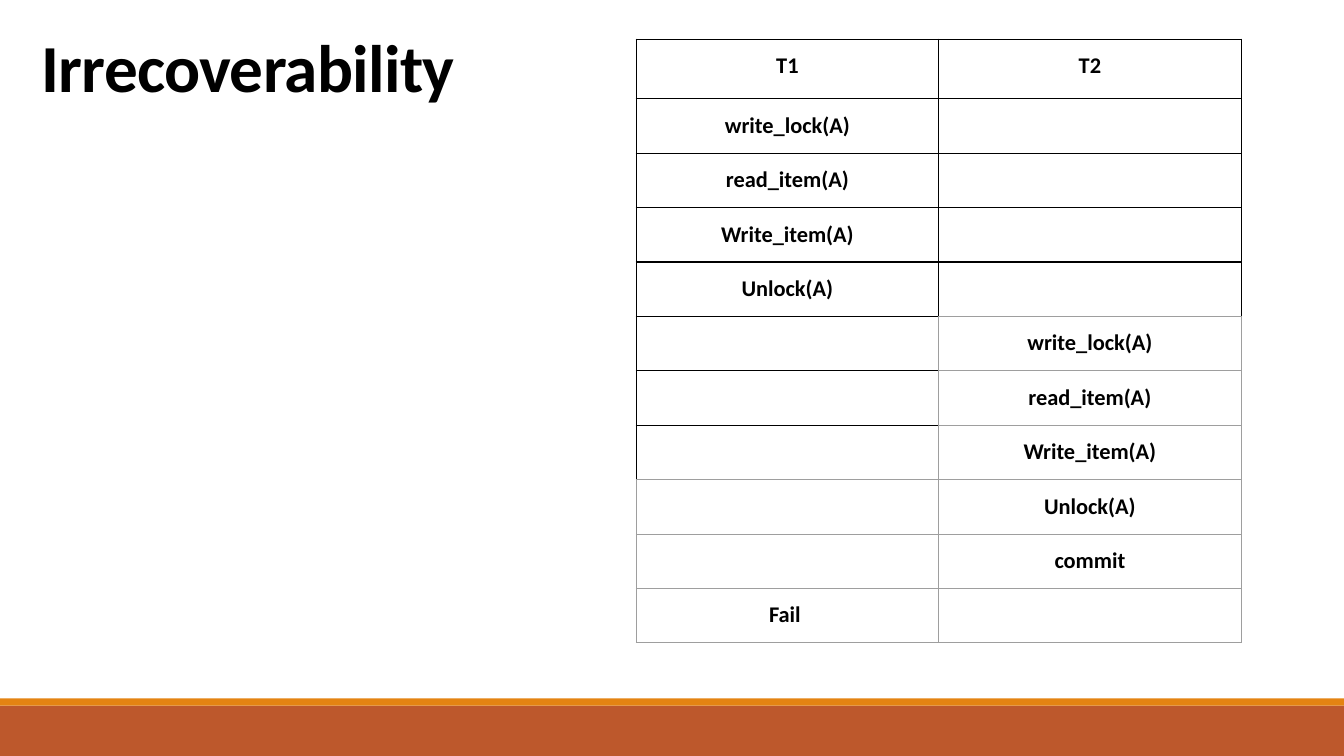
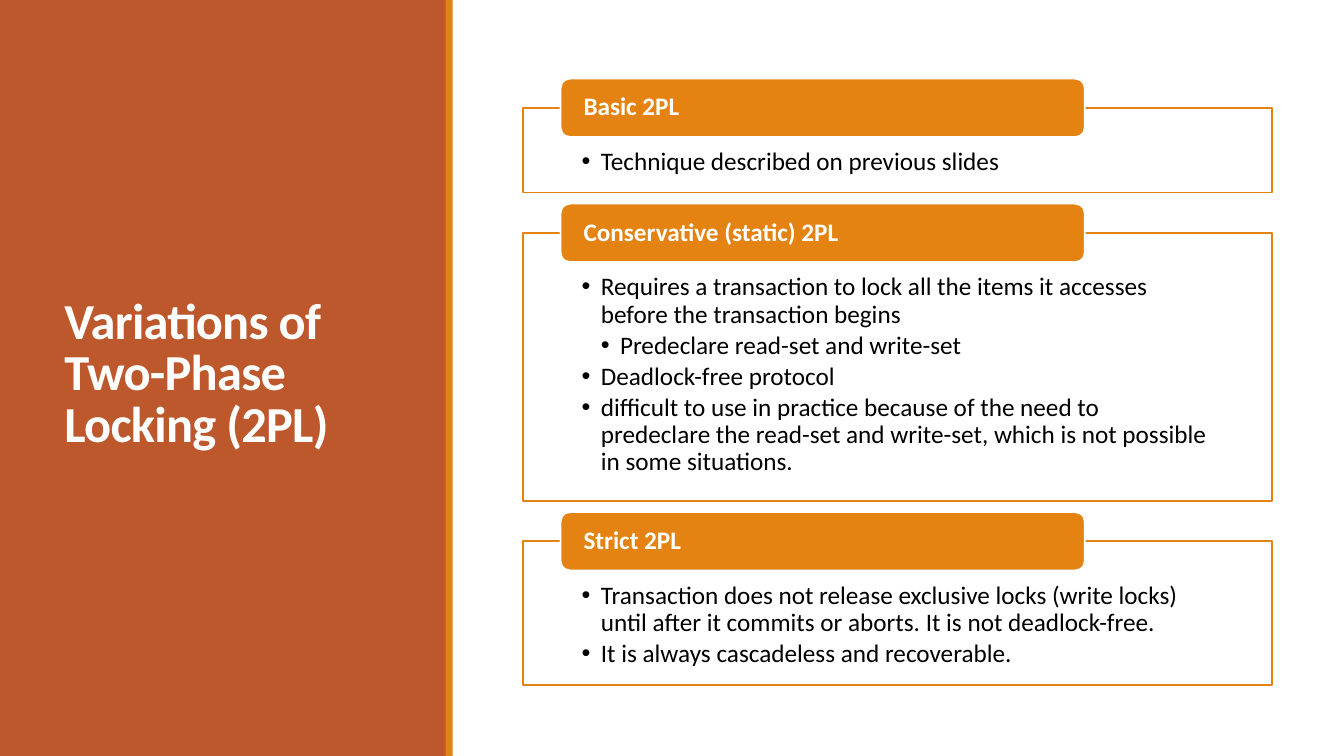
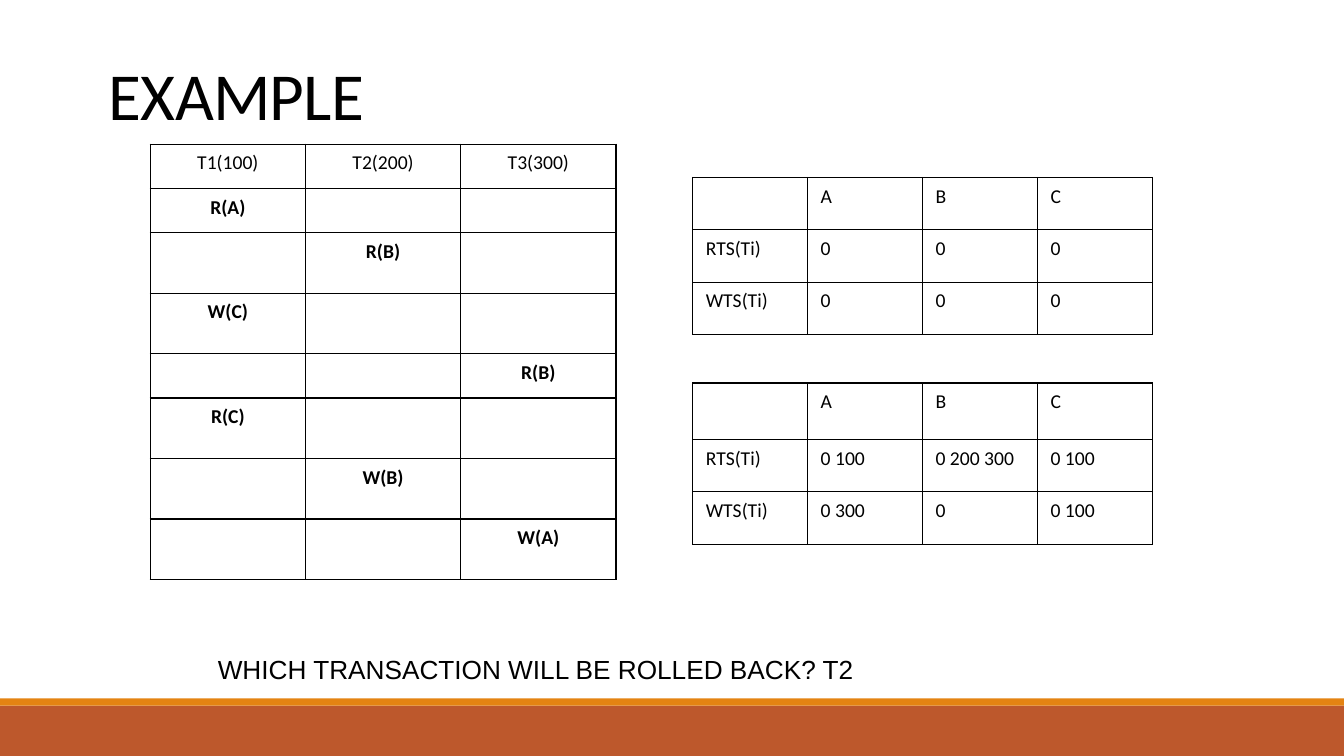
import pptx
import pptx.dml.color
import pptx.enum.shapes
import pptx.enum.text
import pptx.oxml.ns
import pptx.util
from lxml import etree

PX = 9144
RUST, ORANGE, GREY = "BD582C", "E48312", "9E9E9E"
BLACK, WHITE = "000000", "FFFFFF"
MIDDLE = pptx.enum.text.MSO_ANCHOR.MIDDLE
TOP = pptx.enum.text.MSO_ANCHOR.TOP
CENTER = pptx.enum.text.PP_ALIGN.CENTER
LEFT = pptx.enum.text.PP_ALIGN.LEFT
RECTANGLE = pptx.enum.shapes.MSO_SHAPE.RECTANGLE
ROUNDED = pptx.enum.shapes.MSO_SHAPE.ROUNDED_RECTANGLE
SIDES = {"lnL": (0, -1), "lnR": (0, 1), "lnT": (-1, 0), "lnB": (1, 0)}


def px(value):
    return pptx.util.Emu(value * PX)


def color(value):
    return pptx.dml.color.RGBColor.from_string(value)


def child(parent, tag, **attributes):
    return etree.SubElement(parent, pptx.oxml.ns.qn("a:" + tag), attributes)


class Deck:
    def __init__(self, width, height):
        self.width, self.height = width, height
        self.presentation = pptx.Presentation()
        self.presentation.slide_width = px(width)
        self.presentation.slide_height = px(height)
        self.slide = None

    def new_slide(self):
        layout = self.presentation.slide_layouts[6]
        self.slide = self.presentation.slides.add_slide(layout)

    def bottom_bands(self):
        self.shape(0, 700, self.width, 50, RUST)
        self.shape(0, 693, self.width, 7, ORANGE)

    def side_bands(self):
        self.shape(0, 0, 443, self.height, RUST)
        self.shape(442, 0, 7, self.height, ORANGE)

    def shape(self, left, top, width, height, fill, line=None, kind=RECTANGLE):
        shape = self.slide.shapes.add_shape(kind, px(left), px(top), px(width), px(height))
        shape.shadow.inherit = False
        shape.fill.solid()
        shape.fill.fore_color.rgb = color(fill)
        if line:
            shape.line.color.rgb = color(line)
            shape.line.width = pptx.util.Pt(1.25)
        else:
            shape.line.fill.background()
        return shape

    def frame(self, shape, insets, anchor=TOP):
        frame = shape.text_frame
        frame.word_wrap = True
        frame.vertical_anchor = anchor
        frame.margin_left = frame.margin_right = px(insets[0])
        frame.margin_top = px(insets[1])
        frame.margin_bottom = px(insets[-1])
        return frame

    def run(self, paragraph, text, size, ink=BLACK, bold=False, font="Calibri"):
        run = paragraph.add_run()
        run.text = text
        run.font.name = font
        run.font.size = pptx.util.Pt(size)
        run.font.bold = bold
        run.font.color.rgb = color(ink)
        return run

    def text(self, left, top, width, height, insets=(13, 7), anchor=TOP):
        shape = self.slide.shapes.add_textbox(px(left), px(top), px(width), px(height))
        return self.frame(shape, insets, anchor).paragraphs[0]

    def title(self, text, left, top, width, height, size=48, ink=BLACK,
              bold=True, insets=(13, 7), spacing=0.85):
        paragraph = self.text(left, top, width, height, insets, MIDDLE)
        paragraph.line_spacing = spacing
        run = self.run(paragraph, text, size, ink, bold)
        run.font._element.set("spc", "-50")

    def caption(self, text, left, top, width, height):
        self.run(self.text(left, top, width, height), text, 18.7, font="Arial")

    def bullet(self, paragraph, text, level):
        paragraph.alignment = LEFT
        paragraph.line_spacing = 0.9
        paragraph.space_after = pptx.util.Pt(2.7)
        properties = paragraph._p.get_or_add_pPr()
        properties.set("marL", str(px(19 * level)))
        properties.set("indent", str(px(-19)))
        child(properties, "buFont", typeface="Arial")
        child(properties, "buChar", char="•")
        self.run(paragraph, text, 18)

    def panel(self, heading, bullets, top, height):
        box = self.shape(519, top, 743, height, WHITE, ORANGE)
        frame = self.frame(box, (58, 41, 14))
        for index, (level, text) in enumerate(bullets):
            paragraph = frame.add_paragraph() if index else frame.paragraphs[0]
            self.bullet(paragraph, text, level)
        tab = self.shape(556, top - 29, 520, 58, ORANGE, WHITE, ROUNDED)
        paragraph = self.frame(tab, (20, 0), MIDDLE).paragraphs[0]
        paragraph.alignment = LEFT
        paragraph.line_spacing = 0.9
        self.run(paragraph, heading, 18, WHITE, True)

    def borders(self, cell, row, column, grey_cells):
        properties = cell._tc.get_or_add_tcPr()
        for tag, (down, right) in SIDES.items():
            touching = {(row, column), (row + down, column + right)}
            grey = touching & grey_cells
            line = child(properties, tag, w=str(pptx.util.Pt(0.75 if grey else 1)))
            child(child(line, "solidFill"), "srgbClr", val=GREY if grey else BLACK)

    def table(self, left, top, column_width, row_heights, rows, size=14,
              insets=(13, 7), alignment=LEFT, bold_from=None, grey_cells=frozenset()):
        columns = len(rows[0])
        table = self.slide.shapes.add_table(
            len(rows), columns, px(left), px(top),
            px(column_width * columns), px(sum(row_heights))).table
        table.first_row = table.horz_banding = False
        for column in table.columns:
            column.width = px(column_width)
        for row, (height, texts) in enumerate(zip(row_heights, rows)):
            table.rows[row].height = px(height)
            for column, text in enumerate(texts):
                cell = table.cell(row, column)
                self.borders(cell, row, column, grey_cells)
                cell.fill.background()
                if text:
                    cell.margin_left = cell.margin_right = px(insets[0])
                    cell.margin_top = cell.margin_bottom = px(insets[1])
                    paragraph = cell.text_frame.paragraphs[0]
                    paragraph.alignment = alignment
                    bold = bold_from is not None and row >= bold_from
                    self.run(paragraph, text, size, bold=bold)


def irrecoverability(deck):
    deck.new_slide()
    deck.bottom_bands()
    steps = ["write_lock(A)", "read_item(A)", "Write_item(A)", "Unlock(A)"]
    rows = [("T1", "T2")]
    rows += [(step, "") for step in steps]
    rows += [("", step) for step in steps + ["commit"]]
    rows += [("Fail ", "")]
    grey_cells = {(row, 1) for row in range(5, 11)} | {(row, 0) for row in range(8, 11)}
    deck.table(631, 39, 300, [59] + [54] * 10, rows, size=16, insets=(13, 13),
               alignment=CENTER, bold_from=0, grey_cells=grey_cells)
    deck.title("Irrecoverability", 28, 23, 677, 97)


def variations(deck):
    deck.new_slide()
    deck.side_bands()
    deck.title("Variations of Two-Phase Locking (2PL)", 54, 57, 337, 631,
               size=36, ink=WHITE, insets=(10, 5))
    panels = [
        ("Basic 2PL", 84, [(1, "Technique described on previous slides")]),
        ("Conservative (static) 2PL", 266, [
            (1, "Requires a transaction to lock all the items it accesses "
                "before the transaction begins"),
            (2, "Predeclare read-set and write-set"),
            (1, "Deadlock-free protocol"),
            (1, "difficult to use in practice because of the need to predeclare "
                "the read-set and write-set, which is not possible in some situations.")]),
        ("Strict 2PL", 143, [
            (1, "Transaction does not release exclusive locks (write locks) "
                "until after it commits or aborts. It is not deadlock-free."),
            (1, "It is always cascadeless and recoverable.")]),
    ]
    top = 107
    for heading, height, bullets in panels:
        deck.panel(heading, bullets, top, height)
        top += height + 40


def example(deck):
    deck.new_slide()
    deck.bottom_bands()
    deck.title("EXAMPLE", 95, 18, 1100, 159, bold=False, spacing=0.9)
    operations = [(0, "R(A)"), (1, "R(B)"), (0, "W(C)"), (2, "R(B)"),
                  (0, "R(C)"), (1, "W(B)"), (2, "W(A)")]
    schedule = [["T1(100)", "T2(200)", "T3(300)"]]
    schedule += [[text if column == owner else "" for column in range(3)]
                 for owner, text in operations]
    deck.table(149, 143, 154, [44, 44, 60, 60, 44, 60, 60, 60], schedule,
               alignment=CENTER, bold_from=1)
    deck.caption("WHICH TRANSACTION WILL BE ROLLED BACK? T2", 203, 641, 665, 45)
    timestamps = [
        (176, 52, ["0", "0", "0"], ["0", "0", "0"]),
        (380, 56, ["0 100", "0 200 300", "0 100"], ["0 300", "0", "0 100"]),
    ]
    for top, header_height, reads, writes in timestamps:
        rows = [["", "A", "B", "C"], ["RTS(Ti)"] + reads, ["WTS(Ti)"] + writes]
        deck.table(687, top, 114, [header_height, 52, 52], rows)


def main():
    deck = Deck(1333, 750)
    irrecoverability(deck)
    variations(deck)
    example(deck)
    deck.presentation.save("out.pptx")


if __name__ == "__main__":
    main()
